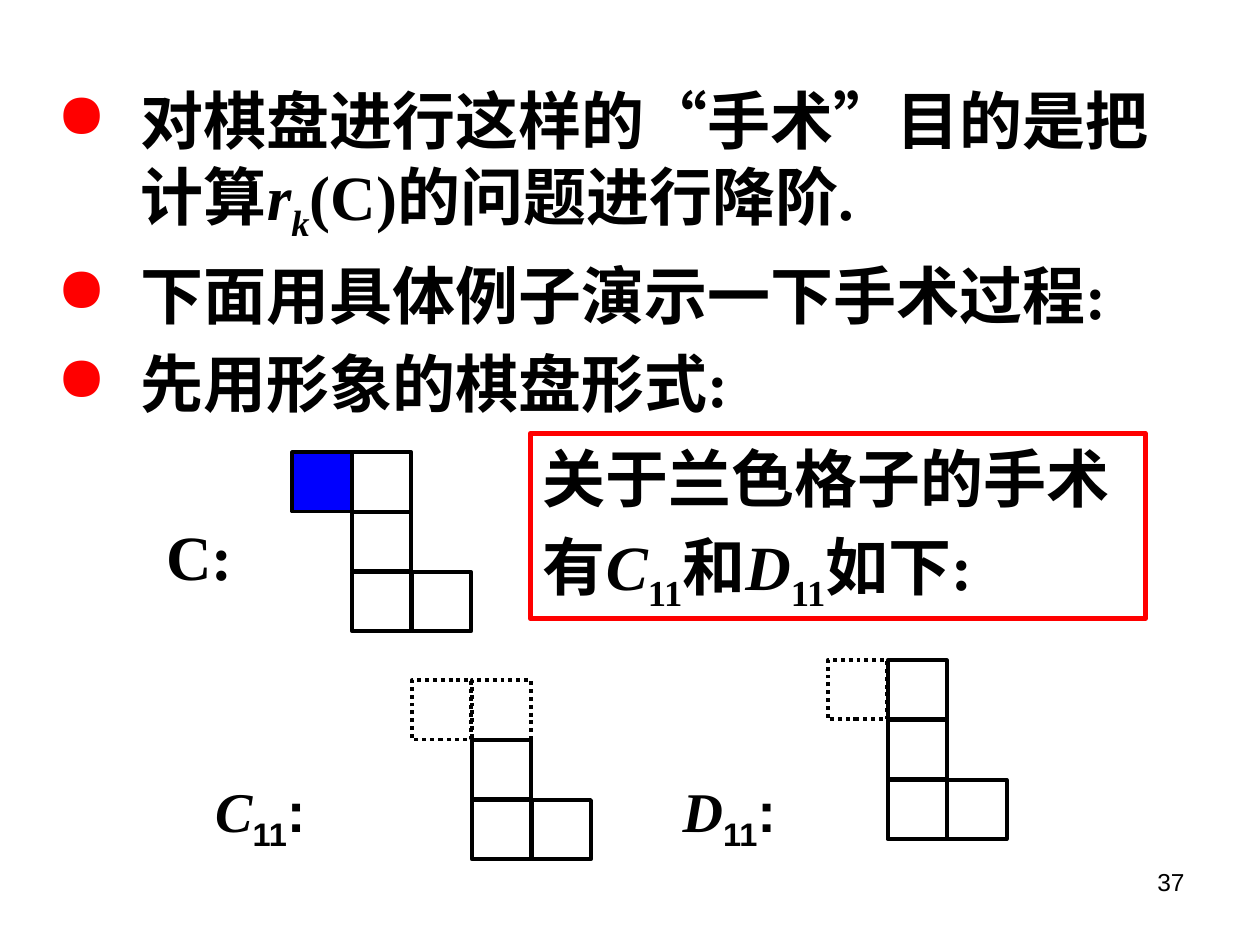
from lxml.etree import SubElement
from pptx import Presentation
from pptx.dml.color import RGBColor
from pptx.enum.dml import MSO_LINE
from pptx.enum.shapes import MSO_SHAPE
from pptx.enum.text import MSO_ANCHOR, PP_ALIGN
from pptx.oxml.ns import qn
from pptx.util import Inches, Pt

W, H = Inches(10), Inches(7.5)
COLORS = {"text": "000000", "accent": "FF0000", "blue": "0000FF", "cell": "FFFFFF"}
SERIF, SANS = "Times New Roman", "Arial"
PITCH, CELL = 4.75, 4.7
BOARD = [(0, 0), (1, 0), (1, 1), (1, 2), (2, 2)]


def color(name):
    return RGBColor.from_string(COLORS[name])


def share(left, top, width, height):
    return [round(v * side / 100) for v, side in ((left, W), (top, H), (width, W), (height, H))]


def style_paragraph(p, bullet):
    p.alignment = PP_ALIGN.LEFT
    pPr = p._p.get_or_add_pPr()
    pPr.set("marL", str(Inches(0.67)))
    pPr.set("indent", str(-Inches(0.67)))
    SubElement(SubElement(pPr, qn("a:spcBef")), qn("a:spcPct")).set("val", "20000")
    if bullet:
        SubElement(SubElement(pPr, qn("a:buClr")), qn("a:srgbClr")).set("val", COLORS["accent"])
        SubElement(pPr, qn("a:buChar")).set("char", "●")
    else:
        SubElement(pPr, qn("a:buNone"))


def add_run(p, text, size, font=SERIF, bold=True, italic=False, sub=False):
    r = p.add_run()
    r.text = text
    r.font.size, r.font.name = Pt(size), font
    r.font.bold, r.font.italic = bold, italic
    r.font.color.rgb = color("text")
    if sub:
        r.font._element.set("baseline", "-25000")


def fill_text(sp, paragraphs, size=36, bullet=False, tail_font=SERIF):
    tf = sp.text_frame
    tf.word_wrap = True
    tf.vertical_anchor = MSO_ANCHOR.TOP
    for i, runs in enumerate(paragraphs):
        p = tf.add_paragraph() if i else tf.paragraphs[0]
        style_paragraph(p, bullet)
        for text, marks in runs:
            font = SERIF if "i" in marks else tail_font
            add_run(p, text, size, font, italic="i" in marks, sub="s" in marks)


def add_text(s, box, paragraphs, **options):
    fill_text(s.shapes.add_textbox(*share(*box)), paragraphs, **options)


def add_rect(s, box, line, weight, fill=None):
    sp = s.shapes.add_shape(MSO_SHAPE.RECTANGLE, *box)
    sp.shadow.inherit = False
    if fill:
        sp.fill.solid()
        sp.fill.fore_color.rgb = color(fill)
    else:
        sp.fill.background()
    sp.line.color.rgb = color(line)
    sp.line.width = Pt(weight)
    return sp


def add_board(s, left, top, fills, removed=0):
    x, y, pitch, cell = share(left, top, PITCH, 0)[:3] + [round(W * CELL / 100)]
    for i, ((col, row), fill) in enumerate(zip(BOARD, fills)):
        box = (x + col * pitch, y + row * pitch, cell, cell)
        sp = add_rect(s, box, "text", 2.25, fill)
        if i < removed:
            sp.line.dash_style = MSO_LINE.ROUND_DOT


def add_page_number(s, number):
    tf = s.shapes.add_textbox(*share(71.7, 91.07, 23.3, 6.93)).text_frame
    tf.word_wrap = True
    p = tf.paragraphs[0]
    p.alignment = PP_ALIGN.RIGHT
    add_run(p, number, 14, SANS, bold=False)


def main():
    prs = Presentation()
    prs.slide_width, prs.slide_height = W, H
    s = prs.slides.add_slide(prs.slide_layouts[6])

    add_page_number(s, "37")
    add_text(s, (3.5, 8, 92.1, 35.73), [
        [("对棋盘进行这样的“手术”目的是把计算", ""), ("r", "i"), ("k", "is"), ("(C)的问题进行降阶.", "")],
        [("下面用具体例子演示一下手术过程:", "")],
        [("先用形象的棋盘形式:", "")],
    ], bullet=True)
    add_text(s, (12.2, 54.13, 18.9, 11.6), [[("C:", "")]])

    note = add_rect(s, share(42.1, 45.87, 48.8, 19.6), "accent", 3)
    fill_text(note, [
        [("关于兰色格子的手术", "")],
        [("有", ""), ("C", "i"), ("11", "s"), ("和", ""), ("D", "i"), ("11", "s"), ("如下:", "")],
    ])

    add_board(s, 23.2, 47.87, ["blue"] + ["cell"] * 4)
    add_board(s, 65.7, 69.87, [None] + ["cell"] * 4, removed=1)
    add_board(s, 32.7, 72, [None] * 5, removed=2)

    for name, left in (("C", 16.1), ("D", 53.2)):
        label = [(name, "i"), ("11", "s"), (":", "")]
        add_text(s, (left, 81.47, 11.8, 11.6), [label], size=32, tail_font=SANS)

    prs.save("out.pptx")


if __name__ == "__main__":
    main()
